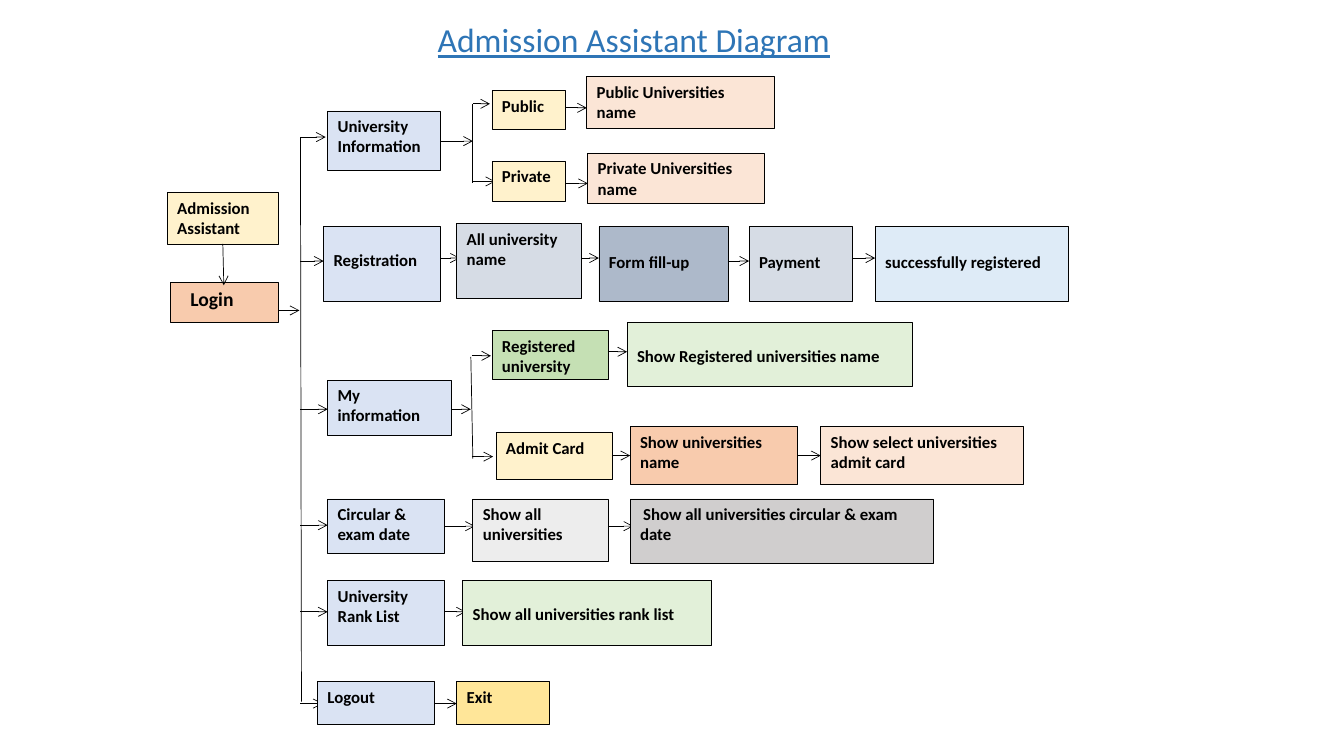
import pptx
import pptx.util
import pptx.dml.color
import pptx.enum.shapes
import pptx.enum.text
import pptx.oxml.ns
import lxml.etree

Inches = pptx.util.Inches
RGB = pptx.dml.color.RGBColor
BLACK = RGB(0, 0, 0)
TITLE = RGB(0x2E, 0x75, 0xB6)
BLUE = RGB(0xDA, 0xE3, 0xF3)
SKY = RGB(0xDE, 0xEB, 0xF7)
CREAM = RGB(0xFF, 0xF2, 0xCC)
GOLD = RGB(0xFF, 0xE6, 0x99)
PEACH = RGB(0xFB, 0xE5, 0xD6)
ORANGE = RGB(0xF8, 0xCB, 0xAD)
SLATE = RGB(0xD6, 0xDC, 0xE5)
STEEL = RGB(0xAD, 0xB9, 0xCA)
MINT = RGB(0xE2, 0xF0, 0xD9)
GREEN = RGB(0xC5, 0xE0, 0xB4)
PALE = RGB(0xED, 0xED, 0xED)
GREY = RGB(0xD0, 0xCE, 0xCE)

# Content: text, (left, top, width, height), fill, text format
HEAD = "Admission Assistant Diagram"
ROOTS = [
    ("Login", (1.69, 2.8, 1.07, 0.4), ORANGE, {"size": 14, "indent": 0.1}),
    ("Admission\nAssistant", (1.66, 1.91, 1.1, 0.51), CREAM, {}),
]

# Each chain: start x, then boxes with the height of the arrow that enters
# and how far its tip passes the box edge
MAIN, UNI, MINE = 2.98, 4.69, 4.68
LOW, MID = {"drop": 0.18}, {"drop": 0.2}
CHAINS = [
    (MAIN, [
        ("University\nInformation", (3.25, 1.1, 1.12, 0.59), BLUE, {}, 1.36, -0.02)]),
    (UNI, [
        ("Public", (4.88, 0.9, 0.73, 0.38), CREAM, {}, 1.03, -0.02),
        ("Public Universities name", (5.82, 0.76, 1.86, 0.51), PEACH, {}, 1.07, 0)]),
    (UNI, [
        ("Private", (4.88, 1.6, 0.73, 0.4), CREAM, {}, 1.8, 0.03),
        ("Private Universities\nname", (5.83, 1.52, 1.75, 0.5), PEACH, {}, 1.82, 0)]),
    (MAIN, [
        ("Registration", (3.21, 2.25, 1.16, 0.74), BLUE, LOW, 2.59, 0),
        ("All university name", (4.53, 2.22, 1.24, 0.74), SLATE, {}, 2.56, 0.03),
        ("Form fill-up", (5.94, 2.25, 1.28, 0.74), STEEL, MID, 2.56, 0),
        ("Payment", (7.43, 2.25, 1.02, 0.74), SLATE, MID, 2.59, 0),
        ("successfully registered", (8.68, 2.25, 1.92, 0.74), SKY, MID, 2.56, 0)]),
    (MAIN, [
        ("My information", (3.25, 3.77, 1.23, 0.55), BLUE, {}, 4.06, 0)]),
    (MINE, [
        ("Registered university", (4.88, 3.28, 1.15, 0.48), GREEN, {}, 3.53, -0.01),
        ("Show Registered universities name", (6.22, 3.2, 2.83, 0.63), MINT, LOW, 3.49, 0)]),
    (MINE, [
        ("Admit Card", (4.92, 4.29, 1.15, 0.47), CREAM, {}, 4.53, -0.03),
        ("Show universities name", (6.25, 4.23, 1.66, 0.58), ORANGE, {}, 4.52, 0),
        ("Show select universities admit card", (8.14, 4.23, 2.01, 0.58), PEACH, {}, 4.52, 0)]),
    (MAIN, [
        ("Circular & exam date", (3.25, 4.95, 1.16, 0.54), BLUE, {}, 5.21, 0),
        ("Show all universities", (4.69, 4.95, 1.34, 0.62), PALE, {}, 5.22, 0.02),
        ("Show all universities circular & exam date", (6.25, 4.95, 3.01, 0.64), GREY,
         {"indent": 0.03}, 5.22, 0.03)]),
    (MAIN, [
        ("University\nRank List", (3.25, 5.76, 1.16, 0.64), BLUE, {}, 6.07, 0),
        ("Show all universities rank list", (4.59, 5.76, 2.47, 0.64), MINT, LOW, 6.07, 0.03)]),
    (MAIN, [
        ("Logout", (3.15, 6.76, 1.16, 0.43), BLUE, {}, 6.98, 0.05),
        ("Exit", (4.53, 6.76, 0.92, 0.43), GOLD, {}, 6.98, 0)]),
]

# Lines: from x, y to x, y
SPINES = [(MAIN, 1.36, 2.99, 6.96), (UNI, 1.03, UNI, 1.82), (4.67, 3.54, 4.69, 4.55)]
LINKS = [(2.21, 2.42, 2.22, 2.83), (2.76, 3.08, 2.97, 3.08),
         (4.37, 1.4, UNI, 1.4), (4.48, 4.06, 4.67, 4.06)]

deck = pptx.Presentation()
deck.slide_width, deck.slide_height = Inches(13.33), Inches(7.5)
slide = deck.slides.add_slide(deck.slide_layouts[5])


def write(shape, text, size=12, color=BLACK, bold=True, under=False, drop=0, indent=0):
    frame = shape.text_frame
    frame.text = text
    frame.word_wrap = True
    frame.auto_size = pptx.enum.text.MSO_AUTO_SIZE.NONE
    frame.vertical_anchor = pptx.enum.text.MSO_ANCHOR.TOP
    frame.margin_left = frame.margin_right = Inches(0.1)
    frame.margin_top, frame.margin_bottom = Inches(0.05 + drop), Inches(0.05)
    for para in frame.paragraphs:
        para.alignment = pptx.enum.text.PP_ALIGN.LEFT
        if indent:
            para._p.get_or_add_pPr().set("indent", str(Inches(indent)))
        font = para.runs[0].font
        font.name, font.size = "Calibri", pptx.util.Pt(size)
        font.bold, font.underline = bold, under
        font.color.rgb = color


def draw(x1, y1, x2, y2, arrow=True):
    line = slide.shapes.add_connector(
        pptx.enum.shapes.MSO_CONNECTOR.STRAIGHT, *map(Inches, (x1, y1, x2, y2)))
    line.line.color.rgb = BLACK
    line.line.width = pptx.util.Pt(0.5)
    qn = pptx.oxml.ns.qn
    if arrow:
        lxml.etree.SubElement(line.line._get_or_add_ln(), qn("a:tailEnd"), type="arrow")
    lxml.etree.SubElement(line._element.spPr, qn("a:effectLst"))


def block(text, place, fill, style):
    box = slide.shapes.add_shape(
        pptx.enum.shapes.MSO_SHAPE.RECTANGLE, *map(Inches, place))
    box.shadow.inherit = False
    box.fill.solid()
    box.fill.fore_color.rgb = fill
    box.line.color.rgb = BLACK
    box.line.width = pptx.util.Pt(0.5)
    write(box, text, **style)


# Title
title = slide.shapes.title
title.left, title.top, title.width, title.height = map(Inches, (4.24, 0.14, 4.6, 0.5))
write(title, HEAD, size=24, color=TITLE, bold=False, under=True)

# Start boxes and joining lines
for root in ROOTS:
    block(*root)
for spine in SPINES:
    draw(*spine, arrow=False)
for link in LINKS:
    draw(*link)

# Chains: an arrow into each box from the right edge of the one before
for start, boxes in CHAINS:
    for text, place, fill, style, level, over in boxes:
        draw(start, level, place[0] + over, level)
        block(text, place, fill, style)
        start = place[0] + place[2]

deck.save("out.pptx")
